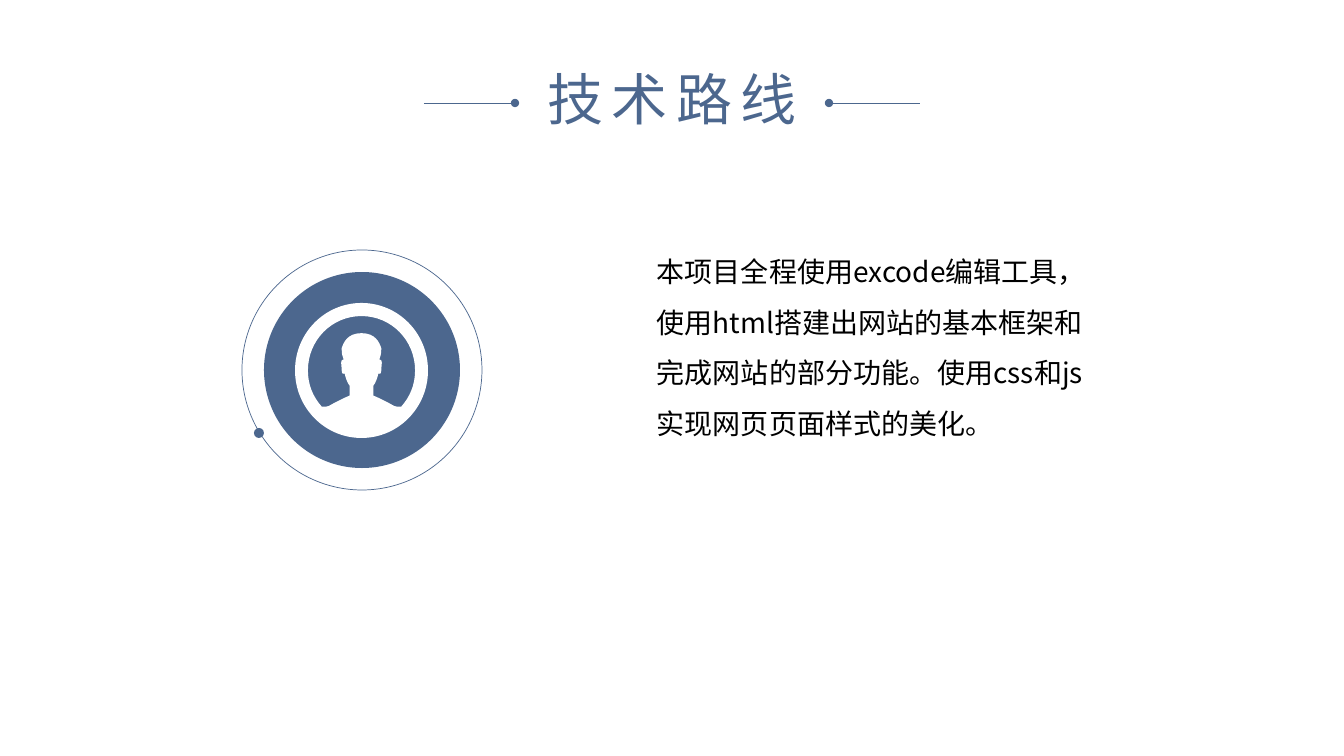
from dataclasses import dataclass

from lxml import etree
from pptx import Presentation
from pptx.dml.color import RGBColor
from pptx.enum.shapes import MSO_CONNECTOR, MSO_SHAPE
from pptx.enum.text import MSO_ANCHOR, PP_ALIGN
from pptx.oxml.ns import qn
from pptx.util import Pt

OVAL, STRAIGHT = MSO_SHAPE.OVAL, MSO_CONNECTOR.STRAIGHT
TOP, LEFT, CENTER = MSO_ANCHOR.TOP, PP_ALIGN.LEFT, PP_ALIGN.CENTER
PX = 914400 / 100.8

TITLE = "技术路线"
BODY = ("本项目全程使用excode编辑工具，使用html搭建出网站的基本框架和完成网站的"
        "部分功能。使用css和js实现网页页面样式的美化。")

# Cubic segments in px from the badge centre, right half only; the left half is mirrored
RADIUS = 67
RIM = [(0, 67), (37, 67), (67, 37), (67, 0), (67, -37), (37, -67), (0, -67)]
HOLE = [
    (0, -54), (30, -54), (54, -30), (54, 0), (54, 14), (49, 26), (40, 36),
    (32, 36), (35, 36), (25, 31),
    (15, 26), (12, 25), (12, 25),
    (12, 15), (12, 15), (12, 15),
    (12, 15), (15, 12), (17, 3),
    (20, 5), (20, 0), (20, -2),
    (20, -5), (22, -11), (18, -11),
    (20, -16), (20, -19), (20, -22),
    (18, -28), (14, -37), (0, -37),
]


@dataclass(frozen=True)
class Theme:
    blue: RGBColor = RGBColor(0x4C, 0x67, 0x8E)
    black: RGBColor = RGBColor(0, 0, 0)
    white: RGBColor = RGBColor(255, 255, 255)
    font: str = "Noto Sans CJK SC"
    title_size: int = 40
    body_size: int = 20
    rule: float = 0.5


THEME = Theme()


def emu(*lengths):
    return [round(n * PX) for n in lengths]


def paint(s, fill=None, line=None):
    s.shadow.inherit = False
    if fill is None:
        s.fill.background()
    else:
        s.fill.solid()
        s.fill.fore_color.rgb = fill
    if line is None:
        s.line.fill.background()
    else:
        s.line.color.rgb = line
        s.line.width = Pt(THEME.rule)


def add_text(slide, box, text, size, color, align=LEFT, spacing=1.0, inset=5, tracking=0):
    tf = slide.shapes.add_textbox(*emu(*box)).text_frame
    frame = {"word_wrap": True, "vertical_anchor": TOP, "margin_top": emu(inset)[0]}
    for name, value in frame.items():
        setattr(tf, name, value)
    p = tf.paragraphs[0]
    p.alignment, p.line_spacing = align, spacing
    p._p.get_or_add_pPr().set("hangingPunct", "0")
    r = p.add_run()
    r.text = text
    r.font.size, r.font.name = Pt(size), THEME.font
    r.font.color.rgb = color
    props = r.font._element
    etree.SubElement(props, qn("a:ea")).set("typeface", THEME.font)
    if tracking:
        props.set("spc", str(tracking * 100))


def add_dotted_rule(slide, x1, x2, y):
    """Draw a thin rule that ends in a dot at x2."""
    s = slide.shapes.add_connector(STRAIGHT, *emu(x1, y, x2, y))
    s.line.color.rgb = THEME.blue
    s.line.width = Pt(THEME.rule)
    etree.SubElement(s.line._get_or_add_ln(), qn("a:tailEnd")).set("type", "oval")
    etree.SubElement(s._element.spPr, qn("a:effectLst"))


def add_title(slide, x, y, w, h):
    rule, gap = 91, 6
    side = rule + gap
    add_text(slide, (x + side, y, w - 2 * side, h), TITLE, THEME.title_size,
             THEME.blue, align=CENTER, tracking=6)
    for outer, inner in ((x, x + rule), (x + w, x + w - rule)):
        add_dotted_rule(slide, outer, inner, y + 44)


def add_contour(path, half):
    """Add a closed curve made of a right half and its mirror image."""
    mirrored = [(-x, y) for x, y in half[::-1]]
    points = half + mirrored[1:]

    def add_step(tag, step_points):
        step = etree.SubElement(path, qn(tag))
        for x, y in step_points:
            pt = etree.SubElement(step, qn("a:pt"))
            pt.set("x", str(x + RADIUS))
            pt.set("y", str(y + RADIUS))

    add_step("a:moveTo", points[:1])
    for i in range(1, len(points), 3):
        add_step("a:cubicBezTo", points[i:i + 3])
    etree.SubElement(path, qn("a:close"))


def add_person(slide, x, y, w, h):
    """Draw a white disc with a hole that leaves a bust standing."""
    builder = slide.shapes.build_freeform(*emu(x, y))
    builder.add_line_segments([emu(x + w, y), emu(x + w, y + h), emu(x, y + h)])
    s = builder.convert_to_shape()
    path = next(s._element.iter(qn("a:path")))
    for child in list(path):
        path.remove(child)
    for side in ("w", "h"):
        path.set(side, str(2 * RADIUS))
    for half in (RIM, HOLE):
        add_contour(path, half)
    paint(s, fill=THEME.white)


def add_badge(slide, x, y, size):
    circles = [
        (0, 0, size, {"line": THEME.blue}),
        (22, 22, size - 44, {"fill": THEME.blue}),
        (12, 178, 10, {"fill": THEME.blue}),
    ]
    for dx, dy, d, look in circles:
        paint(slide.shapes.add_shape(OVAL, *emu(x + dx, y + dy, d, d)), **look)
    add_person(slide, x + 53, y + 53, 133, 135)


def add_body(slide, x, y, w, h):
    add_text(slide, (x, y, w, h), BODY, THEME.body_size, THEME.black,
             spacing=1.5, inset=3)


def main():
    prs = Presentation()
    prs.slide_width, prs.slide_height = emu(1344, 756)
    slide = prs.slides.add_slide(prs.slide_layouts[6])
    add_title(slide, 424, 59, 496, 78)
    add_body(slide, 647, 235, 456, 233)
    add_badge(slide, 242, 250, 240)
    prs.save("out.pptx")


if __name__ == "__main__":
    main()
